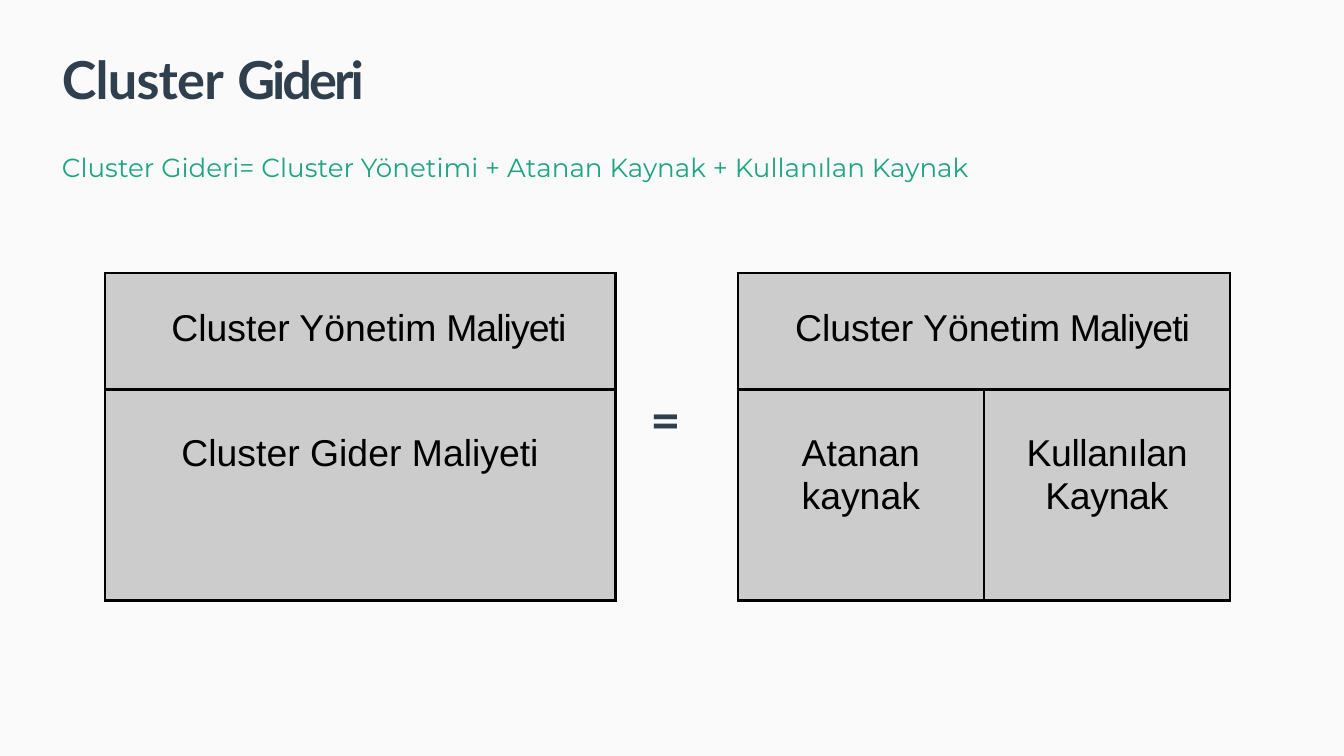
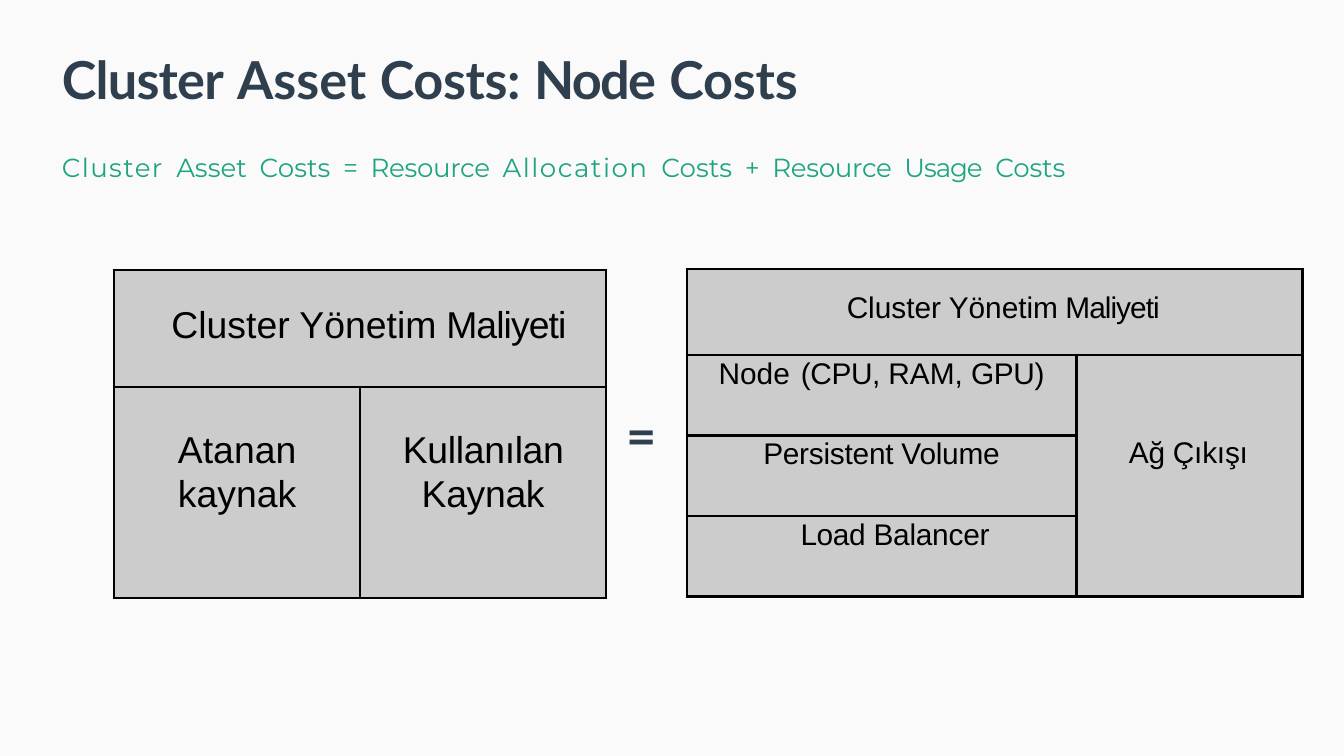
"""Build two slides that break cluster cost down into its parts."""
from dataclasses import dataclass

from lxml.etree import SubElement
from pptx import Presentation
from pptx.dml.color import RGBColor
from pptx.enum.text import MSO_ANCHOR, PP_ALIGN
from pptx.oxml.ns import qn
from pptx.util import Inches, Pt


@dataclass(frozen=True)
class Theme:
    back: str = "FAFAFA"
    navy: str = "2F3F4E"
    green: str = "1EA482"
    cell: str = "CCCCCC"
    line: str = "000000"
    heading: str = "Lato"
    formula: str = "Montserrat"
    body: str = "Arial"
    title_size: int = 28
    formula_size: int = 14
    border: float = 1.5


@dataclass(frozen=True)
class CellStyle:
    size: int
    top: float
    left: float = 0
    right: float = 0
    leading: float = 0
    align: PP_ALIGN = PP_ALIGN.CENTER


T = Theme()
STYLES = {
    "header": CellStyle(20, 0.26, left=0.13),
    "part": CellStyle(20, 0.31, left=0.2, right=0.2, leading=23.1),
    "small header": CellStyle(16, 0.17, left=0.13),
    "asset": CellStyle(16, 0.02),
    "shifted asset": CellStyle(16, 0.02, left=0.2),
    "network": CellStyle(16, 0.61, left=0.39, align=PP_ALIGN.LEFT),
}

MANAGEMENT = [("Cluster Yönetim", 0), (" Maliyeti", -0.5)]
ROWS = [0.87, 1.57]
HALVES = [1.83, 1.83]
SPLIT_CELLS = [
    (0, 0, 1, 2, "header", MANAGEMENT),
    (1, 0, 1, 1, "part", [("Atanan kaynak", 0)]),
    (1, 1, 1, 1, "part", [("Kullanılan Kaynak", -0.2)]),
]
TOTAL_CELLS = [
    (0, 0, 1, 1, "header", MANAGEMENT),
    (1, 0, 1, 1, "part", [("Cluster Gider Maliyeti", 0)]),
]
ASSET_CELLS = [
    (0, 0, 1, 2, "small header", MANAGEMENT),
    (1, 0, 1, 1, "asset", [("Node", 0), (" ", 1.5), ("(CPU, ", -0.2),
                           ("RAM, ", 0), ("GPU)", -0.2)]),
    (2, 0, 1, 1, "asset", [("Persistent Volume", -0.1)]),
    (3, 0, 1, 1, "shifted asset", [("Load ", -0.2), ("Balancer", -0.1)]),
    (1, 1, 3, 1, "network", [("Ağ Çıkışı", -0.1)]),
]


def spread(words, gap):
    """Join words by spaces that carry their own letter spacing."""
    runs = [run for word in words for run in (word, (" ", gap))]
    return runs[:-1]


SLIDES = [
    {
        "title": spread([("Cluster", -0.4), ("Gideri", -1.6)], 0.5),
        "formula": [("Cluster Gideri= Cluster Yönetimi + Atanan Kaynak"
                     " + Kullanılan Kaynak", 0)],
        "equals": (4.83, 2.86),
        "tables": [
            (5.49, 2.03, HALVES, ROWS, SPLIT_CELLS),
            (0.78, 2.03, [3.8], ROWS, TOTAL_CELLS),
        ],
    },
    {
        "title": spread([("Cluster", -0.4), ("Asset", 0), ("Costs:", -0.2),
                         ("Node", -0.9), ("Costs", -0.1)], 0.4),
        "formula": spread([("Cluster", 0.7), ("Asset", 0), ("Costs", 0),
                           ("=", 0), ("Resource", -0.2), ("Allocation", 0.8),
                           ("Costs", 0), ("+", 0), ("Resource", -0.2),
                           ("Usage", -0.6), ("Costs", -0.1)], 3),
        "equals": (4.65, 2.98),
        "tables": [
            (5.11, 2, [2.9, 1.68], [0.64, 0.6, 0.6, 0.6], ASSET_CELLS),
            (0.85, 2.01, HALVES, ROWS, SPLIT_CELLS),
        ],
    },
]


def add_runs(p, runs, font, size, color, bold=False):
    for text, spacing in runs:
        r = p.add_run()
        r.text = text
        r.font.name = font
        r.font.size = Pt(size)
        r.font.bold = bold
        r.font.color.rgb = RGBColor.from_string(color)
        if spacing:
            r.font._element.set("spc", str(round(spacing * 100)))


def fill_text(sp, box, runs, font, size, color, bold=False):
    sp.left, sp.top, sp.width, sp.height = map(Inches, box)
    tf = sp.text_frame
    tf.word_wrap = True
    tf.vertical_anchor = MSO_ANCHOR.TOP
    tf.margin_right = tf.margin_bottom = 0
    tf.margin_left = Inches(0.01)
    tf.margin_top = Inches(0.02)
    p = tf.paragraphs[0]
    p.alignment = PP_ALIGN.LEFT
    add_runs(p, runs, font, size, color, bold)


def add_text(s, box, *args):
    sp = s.shapes.add_textbox(*map(Inches, box))
    fill_text(sp, box, *args)


def format_cell(cell):
    tc_pr = cell._tc.get_or_add_tcPr()
    for side in ("a:lnL", "a:lnR", "a:lnT", "a:lnB"):
        ln = SubElement(tc_pr, qn(side), w=str(Pt(T.border)))
        SubElement(SubElement(ln, qn("a:solidFill")), qn("a:srgbClr"), val=T.line)
    cell.fill.solid()
    cell.fill.fore_color.rgb = RGBColor.from_string(T.cell)


def write_cell(cell, style, runs):
    cell.vertical_anchor = MSO_ANCHOR.TOP
    cell.margin_top = Inches(style.top)
    cell.margin_left = Inches(style.left)
    cell.margin_right = Inches(style.right)
    cell.margin_bottom = 0
    p = cell.text_frame.paragraphs[0]
    p.alignment = style.align
    if style.leading:
        p.line_spacing = Pt(style.leading)
    add_runs(p, runs, T.body, style.size, T.line)


def add_cost_table(s, left, top, widths, heights, cells):
    box = (left, top, sum(widths), sum(heights))
    frame = s.shapes.add_table(len(heights), len(widths), *map(Inches, box))
    table = frame.table
    table.first_row = table.horz_banding = False
    for column, width in zip(table.columns, widths):
        column.width = Inches(width)
    for row, height in zip(table.rows, heights):
        row.height = Inches(height)
    for cell in table.iter_cells():
        format_cell(cell)
    for row, col, row_span, col_span, style, runs in cells:
        cell = table.cell(row, col)
        if row_span * col_span > 1:
            cell.merge(table.cell(row + row_span - 1, col + col_span - 1))
        write_cell(cell, STYLES[style], runs)


def add_slide(prs, content):
    s = prs.slides.add_slide(prs.slide_layouts[5])
    heading = (T.heading, T.title_size, T.navy, True)
    fill_text(s.shapes.title, (0.45, 0.33, 6.71, 0.49), content["title"], *heading)
    add_text(s, (0.45, 1.11, 8.41, 0.25), content["formula"],
             T.formula, T.formula_size, T.green)
    add_text(s, (*content["equals"], 0.23, 0.49), [("=", -8.8)], *heading)
    for table in content["tables"]:
        add_cost_table(s, *table)


def main():
    prs = Presentation()
    prs.slide_width = Inches(10)
    prs.slide_height = prs.slide_width * 9 // 16
    fill = prs.slide_master.background.fill
    fill.solid()
    fill.fore_color.rgb = RGBColor.from_string(T.back)
    for content in SLIDES:
        add_slide(prs, content)
    prs.save("out.pptx")


if __name__ == "__main__":
    main()
